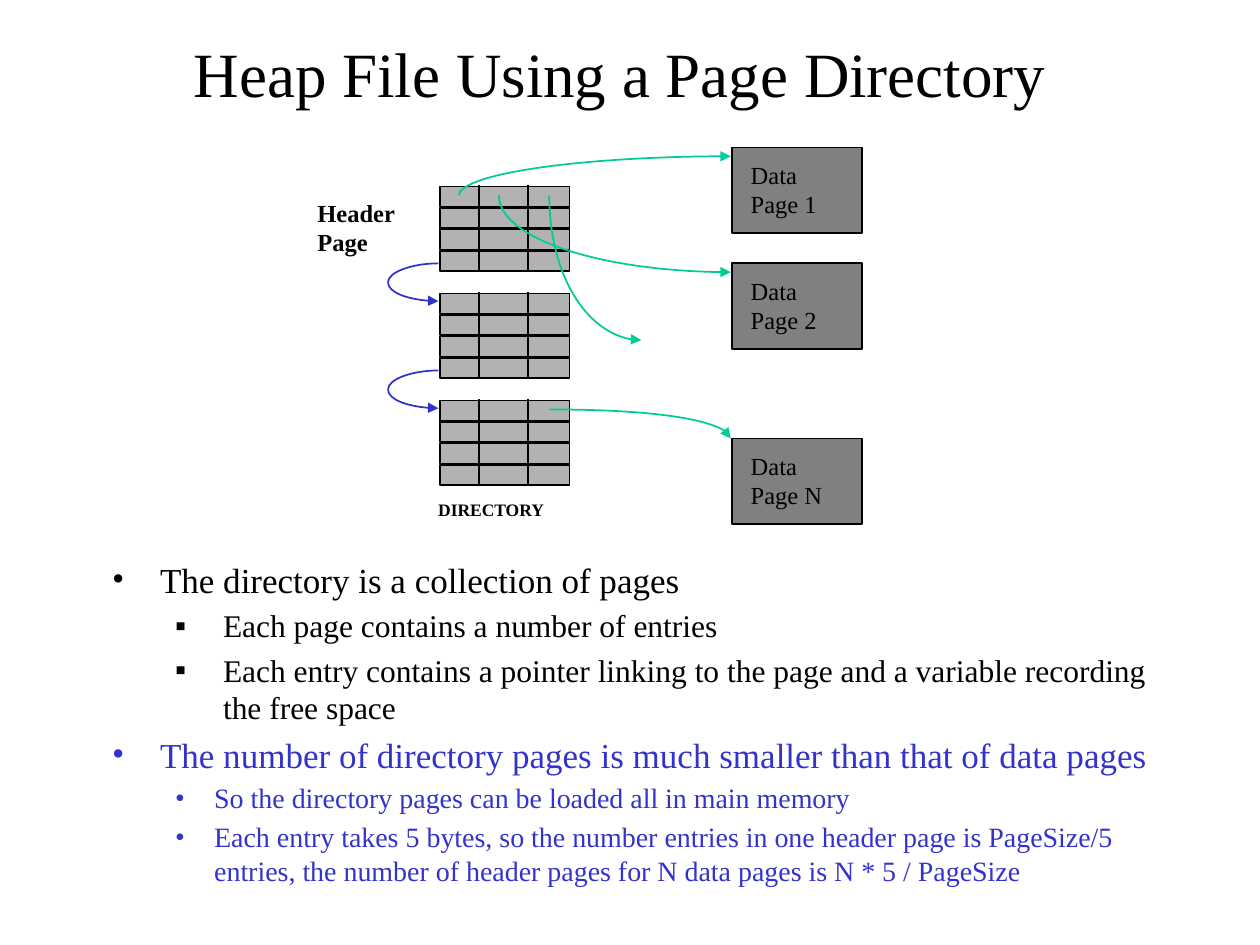
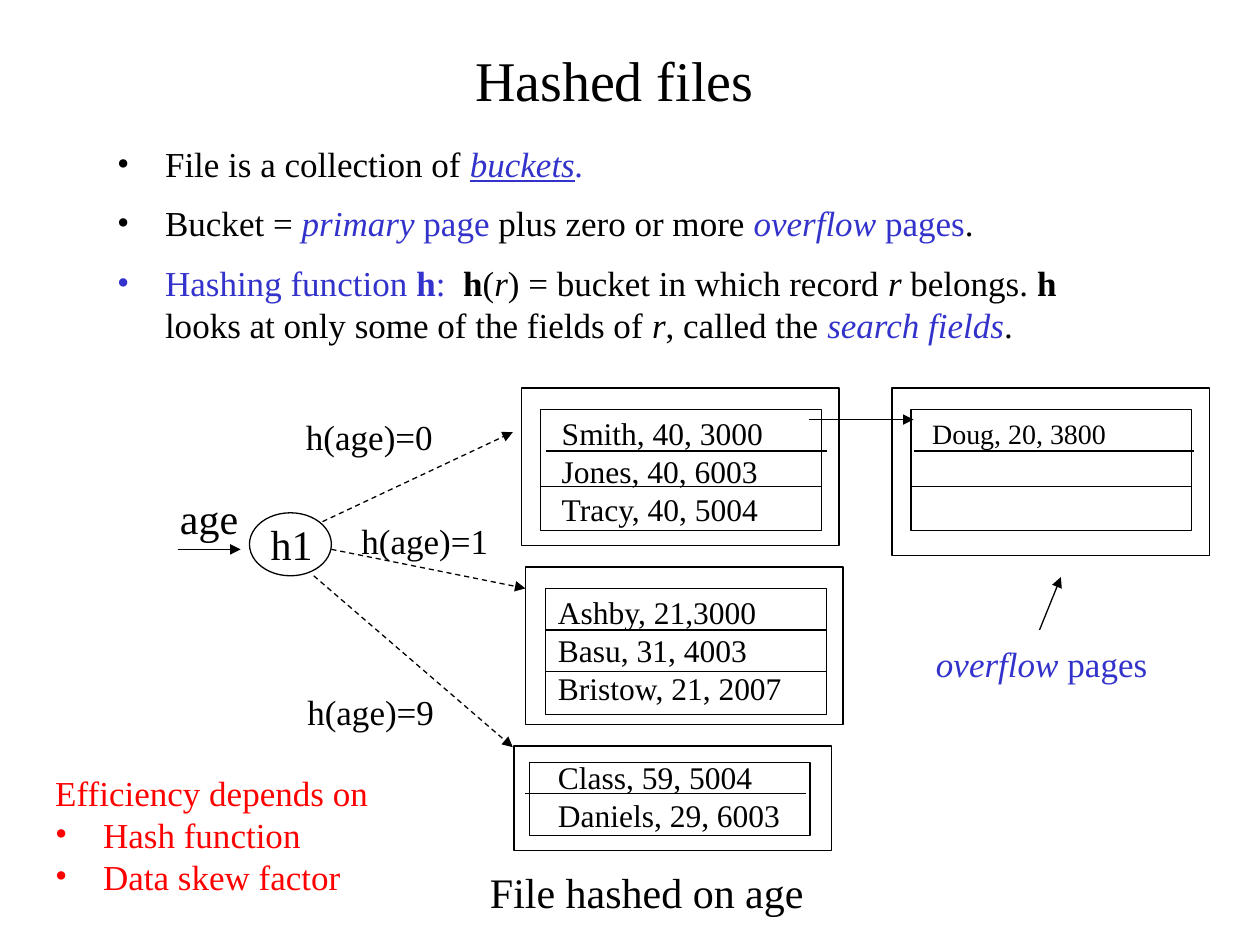
import lxml.etree
import pptx
import pptx.dml.color
import pptx.enum.dml
import pptx.enum.shapes
import pptx.enum.text
import pptx.oxml.ns
import pptx.util

Inches = pptx.util.Inches
Pt = pptx.util.Pt
qn = pptx.oxml.ns.qn
RGBColor = pptx.dml.color.RGBColor
Shapes = pptx.enum.shapes.MSO_SHAPE
Align = pptx.enum.text.PP_ALIGN
Anchor = pptx.enum.text.MSO_ANCHOR
AutoSize = pptx.enum.text.MSO_AUTO_SIZE

BLACK = RGBColor(0x00, 0x00, 0x00)
BLUE = RGBColor(0x33, 0x33, 0xCC)
GREEN = RGBColor(0x00, 0xCC, 0x99)
RED = RGBColor(0xFF, 0x00, 0x00)
ENTRY_GRAY = RGBColor(0xB2, 0xB2, 0xB2)
PAGE_GRAY = RGBColor(0x80, 0x80, 0x80)
FONT = "Times New Roman"


def add_text(paragraph, text, size=20, color=BLACK, bold=False, italic=False, underline=False):
    run = paragraph.add_run()
    run.text = text
    font = run.font
    font.name, font.size = FONT, Pt(size)
    font.color.rgb = color
    font.bold, font.italic, font.underline = bold, italic, underline


def set_bullet(paragraph, bullet, margin, hang):
    props = paragraph._p.get_or_add_pPr()
    props.set("marL", str(Inches(margin)))
    props.set("indent", str(-Inches(hang)))
    lxml.etree.SubElement(props, qn("a:buFont"), typeface=FONT)
    lxml.etree.SubElement(props, qn("a:buChar"), char=bullet)


class Deck:
    def __init__(self):
        self.presentation = pptx.Presentation()
        self.presentation.slide_width = Inches(10)
        self.presentation.slide_height = Inches(7.5)
        self.slide = None
        self.line_width = 1

    def new_slide(self, line_width):
        self.slide = self.presentation.slides.add_slide(self.presentation.slide_layouts[1])
        self.line_width = line_width

    def fill_text(self, holder, paragraphs, wrap, **style):
        frame = holder.text_frame
        frame.word_wrap = wrap
        for index, (runs, extra) in enumerate(paragraphs):
            paragraph = frame.paragraphs[0] if index == 0 else frame.add_paragraph()
            settings = {**style, **extra}
            paragraph.level = settings.pop("level", 0)
            paragraph.alignment = settings.pop("align", Align.LEFT)
            before = settings.pop("before", 0)
            paragraph.space_before = Pt(before * settings.get("size", 20))
            bullet = settings.pop("bullet", None)
            margin, hang = settings.pop("margin", 0), settings.pop("hang", 0.38)
            if bullet:
                set_bullet(paragraph, bullet, margin, hang)
            for text, look in runs:
                add_text(paragraph, text, **{**settings, **look})

    def placeholder(self, index, box, paragraphs, wrap=True, anchor=Anchor.TOP, **style):
        holder = self.slide.placeholders[index]
        holder.left, holder.top, holder.width, holder.height = map(Inches, box)
        holder.text_frame.auto_size = AutoSize.NONE
        holder.text_frame.vertical_anchor = anchor
        self.fill_text(holder, paragraphs, wrap, **style)

    def title(self, text, box, **style):
        self.placeholder(0, box, [([(text, {})], {})], **style)

    def body(self, box, paragraphs, **style):
        self.placeholder(1, box, paragraphs, **style)

    def rich_text(self, box, paragraphs, **style):
        label = self.slide.shapes.add_textbox(*map(Inches, box))
        label.text_frame.auto_size = AutoSize.SHAPE_TO_FIT_TEXT
        self.fill_text(label, paragraphs, False, **style)

    def text(self, box, lines, **style):
        self.rich_text(box, [([(line, {})], {}) for line in lines], **style)

    def box(self, box, fill=None, preset=Shapes.RECTANGLE):
        shape = self.slide.shapes.add_shape(preset, *map(Inches, box))
        shape.shadow.inherit = False
        if fill is None:
            shape.fill.background()
        else:
            shape.fill.solid()
            shape.fill.fore_color.rgb = fill
        self.stroke(shape.line, BLACK)

    def stroke(self, line, color, arrow=False, dashed=False):
        line.color.rgb = color
        line.width = Pt(self.line_width)
        if dashed:
            line.dash_style = pptx.enum.dml.MSO_LINE.DASH
        if arrow:
            lxml.etree.SubElement(line._get_or_add_ln(), qn("a:tailEnd"), type="triangle")

    def line(self, start, end, arrow=False, dashed=False):
        connector = self.slide.shapes.add_connector(
            pptx.enum.shapes.MSO_CONNECTOR.STRAIGHT, *map(Inches, (*start, *end)))
        self.stroke(connector.line, BLACK, arrow, dashed)
        lxml.etree.SubElement(connector._element.spPr, qn("a:effectLst"))

    def curve(self, points, color, arrow=True):
        start, *rest = [tuple(map(Inches, point)) for point in points]
        builder = self.slide.shapes.build_freeform(*start)
        builder.add_line_segments(rest, close=False)
        shape = builder.convert_to_shape()
        shape.shadow.inherit = False
        shape.fill.background()
        self.stroke(shape.line, color, arrow)
        segments = shape._element.xpath(".//a:lnTo")
        outline = segments[0].getparent()
        bezier = lxml.etree.SubElement(outline, qn("a:cubicBezTo"))
        for segment in segments:
            bezier.append(segment[0])
            outline.remove(segment)


def build_heap_file(deck):
    deck.new_slide(line_width=1)
    deck.title("Heap File Using a Page Directory", (0.67, 0.19, 8.5, 0.76),
               size=36, align=Align.CENTER, anchor=Anchor.MIDDLE)

    topic = dict(bullet="•", margin=0.38, size=20)
    detail = dict(bullet="▪", margin=0.88, size=18, level=1)
    blue_topic = dict(topic, color=BLUE)
    blue_detail = dict(bullet="•", margin=0.81, hang=0.31, size=16, level=1, color=BLUE)
    points = [
        ("The directory is a collection of pages", topic),
        ("Each page contains a number of entries", detail),
        ("Each entry contains a pointer linking to the page and a variable recording "
         "the free space", detail),
        ("The number of directory pages is much smaller than that of data pages", blue_topic),
        ("So the directory pages can be loaded all in main memory", blue_detail),
        ("Each entry takes 5 bytes, so the number entries in one header page is PageSize/5 "
         "entries, the number of header pages for N data pages is N * 5 / PageSize", blue_detail),
    ]
    deck.body((0.79, 4.38, 8.57, 2.76),
              [([(text, {})], look) for text, look in points], before=0.2)

    directory_left, directory_pitch, entry_pitch = 3.49, 0.85, 0.17
    for page in range(3):
        page_top = 1.48 + page * directory_pitch
        for entry in range(4):
            deck.box((directory_left, page_top + entry * entry_pitch, 1.03, 0.16), ENTRY_GRAY)
        for divider in (3.8, 4.19):
            deck.line((divider, page_top - 0.01), (divider, page_top + 0.68))

    for name, top, width in (("1", 1.17, 0.73), ("2", 2.09, 0.73), ("N", 3.48, 0.77)):
        deck.box((5.81, top, 1.03, 0.68), PAGE_GRAY)
        deck.text((5.86, top + 0.05, width, 0.57), ["Data", f"Page {name}"], size=14)
    deck.text((2.42, 1.52, 0.82, 0.57), ["Header", "Page"], size=14, bold=True)
    deck.text((3.38, 3.91, 1.06, 0.27), ["DIRECTORY"], size=10, bold=True)

    for middle in (2.24, 2.24 + directory_pitch):
        for side in (-1, 1):
            deck.curve([(3.08, middle), (3.08, middle + side * 0.08),
                        (3.27, middle + side * 0.15), (3.48, middle + side * 0.15)],
                       BLUE, arrow=side == 1)

    pointers = [
        [(3.64, 1.55), (3.66, 1.38), (4.62, 1.24), (5.8, 1.24)],
        [(3.96, 1.55), (3.96, 1.89), (4.79, 2.16), (5.8, 2.16)],
        [(4.36, 1.55), (4.36, 2.18), (4.69, 2.7), (5.09, 2.7)],
        [(4.36, 3.25), (5.16, 3.25), (5.8, 3.35), (5.8, 3.48)],
    ]
    for pointer in pointers:
        deck.curve(pointer, GREEN)


def build_hashed_files(deck):
    deck.new_slide(line_width=0.75)
    deck.title("Hashed files", (3.67, 0.31, 2.44, 0.64), size=32, wrap=False)

    plain, bold, italic = {}, dict(bold=True), dict(italic=True)
    blue = dict(color=BLUE)
    blue_bold, blue_italic = {**blue, **bold}, {**blue, **italic}
    definitions = [
        [("File is a collection of ", plain), ("buckets", dict(blue_italic, underline=True)),
         (".", blue_italic)],
        [("Bucket = ", plain), ("primary", blue_italic), (" page", blue),
         (" plus zero or more ", plain), ("overflow", blue_italic), (" pages", blue),
         (".", plain)],
        [("Hashing function", blue), (" h", blue_bold), (":  ", blue), ("h", bold),
         ("(", plain), ("r", italic), (") = bucket in which record ", plain), ("r", italic),
         (" belongs. ", plain), ("h", bold),
         (" looks at only some of the fields of ", plain), ("r", italic),
         (", called the ", plain), ("search fields", blue_italic), (".", plain)],
    ]
    deck.body((0.33, 1.08, 8.75, 1.78), [(runs, {}) for runs in definitions],
              level=1, bullet="•", margin=0.88, before=0.5)

    buckets = [
        ((4.14, 3.08, 2.52, 1.25), (4.29, 3.25, 2.23, 0.96), [(4.33, 3.58), (4.29, 3.86)],
         (4.36, 3.24, 1.81, 1.01), ["Smith, 40, 3000", "Jones, 40, 6003", "Tracy, 40, 5004"], 18),
        ((7.08, 3.08, 2.52, 1.33), (7.23, 3.25, 2.23, 0.96), [(7.25, 3.58), (7.23, 3.86)],
         (7.3, 3.26, 1.6, 0.37), ["Doug, 20, 3800"], 16),
        ((4.17, 4.5, 2.52, 1.25), (4.33, 4.67, 2.23, 1), [(4.33, 5), (4.33, 5.33)],
         (4.33, 4.66, 1.99, 1.01), ["Ashby, 21,3000", "Basu, 31, 4003", "Bristow, 21, 2007"], 18),
        ((4.08, 5.92, 2.52, 0.83), (4.2, 6.05, 2.23, 0.58), [(4.17, 6.3)],
         (4.33, 5.97, 1.98, 0.71), ["Class, 59, 5004", "Daniels, 29, 6003"], 18),
    ]
    for bucket, page, separators, records_box, records, size in buckets:
        deck.text(records_box, records, size=size)
        deck.box(page)
        for left, top in separators:
            deck.line((left, top), (left + 2.23, top))
        deck.box(bucket)

    deck.box((1.98, 4.07, 0.65, 0.5), preset=Shapes.OVAL)
    for start, end in (((2.56, 4.14), (4.07, 3.43)), ((2.63, 4.36), (4.17, 4.67)),
                       ((2.49, 4.57), (4.07, 5.93))):
        deck.line(start, end, arrow=True, dashed=True)
    for start, end in (((1.41, 4.36), (1.91, 4.36)), ((6.42, 3.33), (7.25, 3.33)),
                       ((8.25, 5), (8.42, 4.58))):
        deck.line(start, end, arrow=True)

    for name, left, top, width in (("h1", 2.05, 4.07, 0.54), ("age", 1.33, 3.86, 0.67),
                                   ("File hashed on age", 3.79, 6.83, 2.71)):
        deck.text((left, top, width, 0.5), [name], size=24)
    for value, left, top in ((0, 2.33, 3.25), (1, 2.77, 4.07), (9, 2.34, 5.43)):
        deck.text((left, top, 1.22, 0.44), [f"h(age)={value}"])

    deck.rich_text((7.33, 5.05, 1.89, 0.44),
                   [([("overflow", blue_italic), (" pages", blue)], {})])
    factor = dict(bullet="•", margin=0.38)
    deck.rich_text((0.34, 6.07, 2.7, 1.11),
                   [([("Efficiency depends on", {})], {}),
                    ([("Hash function", {})], factor),
                    ([("Data skew factor", {})], factor)], color=RED)


def main():
    deck = Deck()
    build_heap_file(deck)
    build_hashed_files(deck)
    deck.presentation.save("out.pptx")


if __name__ == "__main__":
    main()
